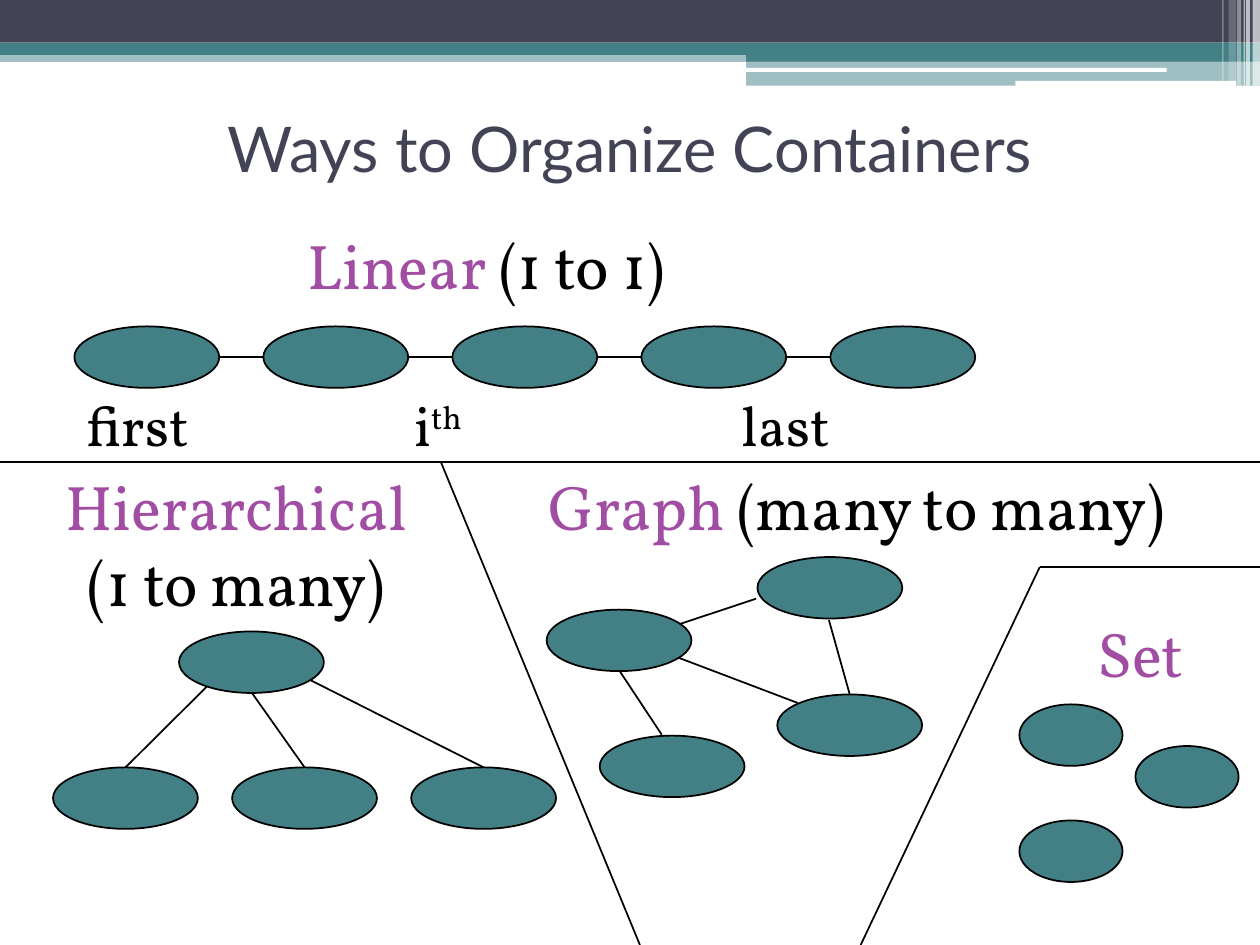
"""Build a slide showing four ways to organize containers."""
from typing import NamedTuple, Optional

from lxml.etree import SubElement
from pptx import Presentation
from pptx.dml.color import RGBColor
from pptx.enum.shapes import MSO_CONNECTOR, MSO_SHAPE as Shp
from pptx.enum.text import MSO_ANCHOR, PP_ALIGN
from pptx.oxml.ns import qn
from pptx.util import Cm, Pt

NAVY = RGBColor(0x42, 0x44, 0x56)
TEAL = RGBColor(0x43, 0x80, 0x86)
PURPLE = RGBColor(0xA0, 0x4D, 0xA3)
BLACK = RGBColor(0, 0, 0)
WHITE = RGBColor(0xFF, 0xFF, 0xFF)

WIDTH, HEIGHT = 25.4, 19.05
NODE_W, NODE_H, SET_W = 2.92, 1.24, 2.08
CHAIN_X, CHAIN_Y, CHAIN_STEP, CHAIN_COUNT = 1.5, 6.58, 3.81, 5
LEAF_X, LEAF_Y, LEAF_STEP = 1.07, 15.47, 3.61
SPLIT_Y, SET_X, SET_Y = 9.32, 20.96, 11.43


class Bar(NamedTuple):
    x: float
    y: float
    w: float
    h: float
    color: RGBColor
    opacity: int = 100
    kind: Shp = Shp.RECTANGLE


class Edge(NamedTuple):
    x1: float
    y1: float
    x2: float
    y2: float


class Piece(NamedTuple):
    text: str
    color: RGBColor = BLACK
    raised: bool = False


class Label(NamedTuple):
    x: float
    y: float
    w: float
    h: float
    lines: list[list[Piece]]
    size: int = 36
    font: str = "Vollkorn"


BARS = [
    Bar(0, 1.02, WIDTH, 0.23, TEAL, 50),
    Bar(0, 0, WIDTH, 0.86, NAVY),
    Bar(0, 0.86, WIDTH, 0.25, TEAL),
    Bar(15.04, 0.99, 10.36, 0.25, TEAL),
    Bar(15.04, 1.22, 10.36, 0.51, TEAL, 50),
    Bar(15.01, 1.37, 8.51, 0.08, WHITE, kind=Shp.ROUNDED_RECTANGLE),
    Bar(20.47, 1.63, 4.45, 0.1, WHITE, kind=Shp.ROUNDED_RECTANGLE),
    Bar(25.25, 0, 0.15, 1.73, WHITE, 65),
    Bar(25.12, 0, 0.08, 1.73, WHITE, 65),
    Bar(25.07, 0, 0.03, 1.73, WHITE, 60),
    Bar(24.94, 0, 0.08, 1.73, WHITE, 40),
    Bar(24.77, 0, 0.15, 1.63, WHITE, 20),
    Bar(24.64, 0, 0.03, 1.63, WHITE, 30),
]
TITLE = Label(0, 1.47, WIDTH, 3.18, [[Piece("Ways to Organize Containers", NAVY)]], font="Lato")
HIERARCHY = Label(1.07, 9.3, 7.87, 3.3, [[Piece("Hierarchical", PURPLE)], [Piece("(1 to many)")]])
POSITIONS = Label(1.5, 7.75, 18.64, 1.6,
                  [[Piece("first\ti"), Piece("th", raised=True), Piece("\tlast")]], size=32)
HEADINGS = [
    Label(10.8, 9.3, 13.89, 1.78, [[Piece("Graph", PURPLE), Piece(" (many to many)")]]),
    Label(5.94, 4.45, 8.69, 1.78, [[Piece("Linear", PURPLE), Piece(" (1 to 1)")]]),
    Label(21.87, 12.27, 2.39, 1.78, [[Piece("Set", PURPLE)]]),
]
TREE_STARTS = [(4.24, 13.77), (5.08, 13.97), (5.92, 13.54)]
GRAPH_EDGES = [
    Edge(13.34, 13.13, 16.08, 14.17),
    Edge(12.5, 13.54, 13.34, 14.81),
    Edge(13.34, 12.7, 15.24, 12.07),
]
GRAPH_NODES = [(15.27, 11.23), (12.09, 14.83), (11.02, 12.29)]
SET_NODES = [(20.55, 16.54), (22.89, 15.04), (20.55, 14.2)]
DIVIDERS = [
    Edge(0, SPLIT_Y, WIDTH, SPLIT_Y),
    Edge(8.89, SPLIT_Y, 12.9, HEIGHT),
    Edge(WIDTH, SET_Y, SET_X, SET_Y),
    Edge(SET_X, SET_Y, 17.35, HEIGHT),
]


def add_bar(s, bar: Bar) -> None:
    sp = s.shapes.add_shape(bar.kind, Cm(bar.x), Cm(bar.y), Cm(bar.w), Cm(bar.h))
    sp.shadow.inherit = False
    sp.line.fill.background()
    sp.fill.solid()
    sp.fill.fore_color.rgb = bar.color
    if bar.opacity < 100:
        color = sp.fill._xPr.find(qn("a:solidFill"))[0]
        SubElement(color, qn("a:alpha"), val=str(bar.opacity * 1000))


def add_node(s, x: float, y: float, w: float = NODE_W):
    sp = s.shapes.add_shape(Shp.OVAL, Cm(x), Cm(y), Cm(w), Cm(NODE_H))
    sp.shadow.inherit = False
    sp.fill.solid()
    sp.fill.fore_color.rgb = TEAL
    sp.line.color.rgb = BLACK
    sp.line.width = Pt(1)
    return sp


def add_edge(s, edge: Edge, target: Optional[object] = None) -> None:
    cx = s.shapes.add_connector(MSO_CONNECTOR.STRAIGHT, *map(Cm, edge))
    cx.line.color.rgb = BLACK
    cx.line.width = Pt(1)
    SubElement(cx._element.spPr, qn("a:effectLst"))
    if target is not None:
        cx.end_connect(target, 0)


def add_label(s, label: Label):
    tf = s.shapes.add_textbox(Cm(label.x), Cm(label.y), Cm(label.w), Cm(label.h)).text_frame
    tf.word_wrap = True
    for i, line in enumerate(label.lines):
        p = tf.paragraphs[0] if i == 0 else tf.add_paragraph()
        for piece in line:
            r = p.add_run()
            r.text = piece.text
            r.font.name = label.font
            r.font.size = Pt(label.size)
            r.font.color.rgb = piece.color
            if piece.raised:
                r.font._element.set("baseline", "30000")
    return tf


def add_title(s) -> None:
    tf = add_label(s, TITLE)
    tf.vertical_anchor = MSO_ANCHOR.MIDDLE
    p = tf.paragraphs[0]
    p.alignment = PP_ALIGN.CENTER
    p.line_spacing = 0.9


def add_chain(s) -> None:
    mid = CHAIN_Y + NODE_H / 2
    for i in range(CHAIN_COUNT):
        x = CHAIN_X + i * CHAIN_STEP
        add_node(s, x, CHAIN_Y)
        if i < CHAIN_COUNT - 1:
            add_edge(s, Edge(x + NODE_W, mid, x + CHAIN_STEP, mid))
    tabs = SubElement(add_label(s, POSITIONS).paragraphs[0]._p.get_or_add_pPr(), qn("a:tabLst"))
    for pos in (6.6, 13.2):
        SubElement(tabs, qn("a:tab"), pos=str(Cm(pos)), algn="l")


def add_tree(s) -> None:
    tf = add_label(s, HIERARCHY)
    tf.paragraphs[1]._p.get_or_add_pPr().set("marL", str(Cm(0.45)))
    for i, (x, y) in enumerate(TREE_STARTS):
        leaf = add_node(s, LEAF_X + i * LEAF_STEP, LEAF_Y)
        add_edge(s, Edge(x, y, x, LEAF_Y), leaf)
    add_node(s, 3.61, 12.73)


def add_graph(s) -> None:
    lower = add_node(s, 15.67, 14)
    add_edge(s, Edge(16.71, 12.5, 17.13, 14), lower)
    for edge in GRAPH_EDGES:
        add_edge(s, edge)
    for x, y in GRAPH_NODES:
        add_node(s, x, y)


def main() -> None:
    prs = Presentation()
    prs.slide_width, prs.slide_height = Cm(WIDTH), Cm(HEIGHT)
    s = prs.slides.add_slide(prs.slide_layouts[6])
    for bar in BARS:
        add_bar(s, bar)
    add_title(s)
    add_tree(s)
    add_graph(s)
    add_chain(s)
    for x, y in SET_NODES:
        add_node(s, x, y, SET_W)
    for label in HEADINGS:
        add_label(s, label)
    for edge in DIVIDERS:
        add_edge(s, edge)
    prs.save("out.pptx")


if __name__ == "__main__":
    main()
